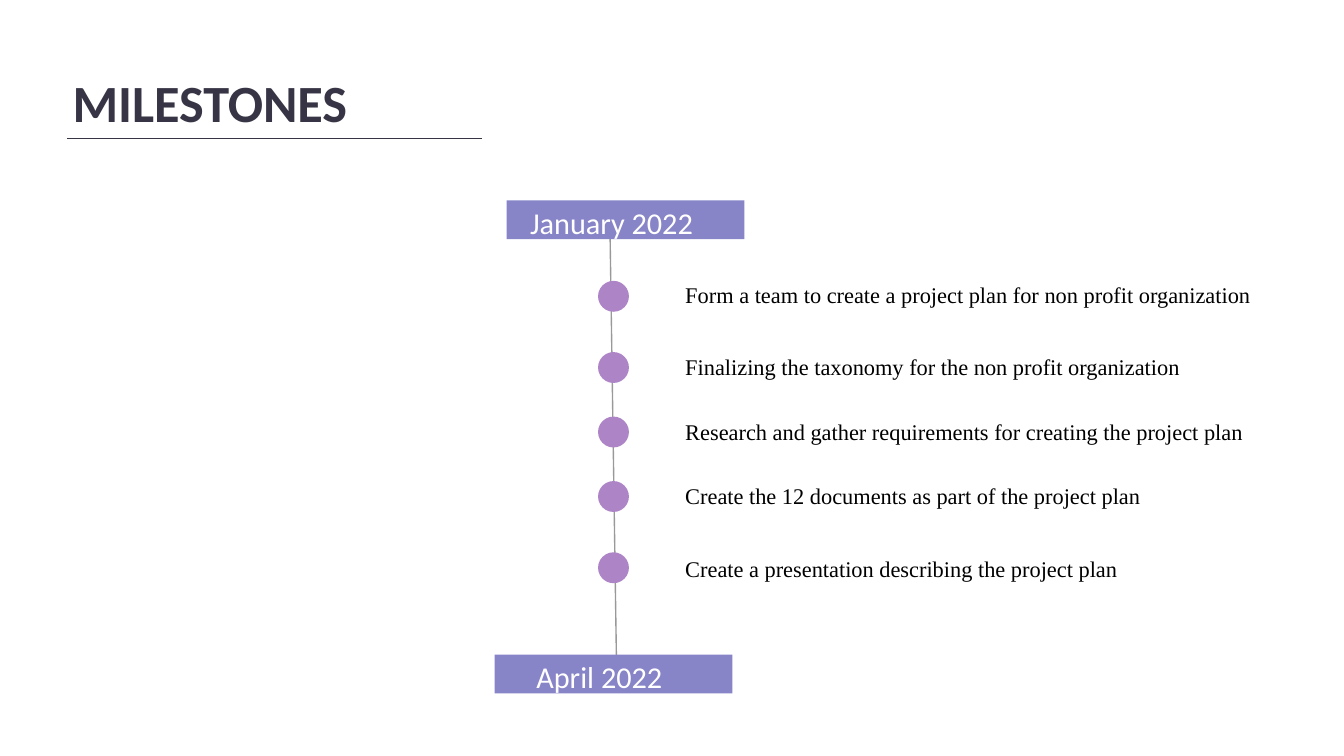
from pptx import Presentation
from pptx.dml.color import RGBColor
from pptx.enum.shapes import MSO_CONNECTOR as CONNECTOR, MSO_SHAPE as SHAPE
from pptx.enum.text import MSO_ANCHOR as ANCHOR, PP_ALIGN as ALIGN
from pptx.oxml.ns import qn
from pptx.util import Inches, Pt
from lxml.etree import SubElement

INK = "373545"
BANNER = "8784C7"
DOT = "AD84C6"
MILESTONES = [
    (2.09, 2.01, "Form a team to create a project plan for non profit organization"),
    (2.62, 2.55, "Finalizing the taxonomy for the non profit organization"),
    (3.10, 3.03, "Research and gather requirements for creating the project plan"),
    (3.58, 3.51, "Create the 12 documents as part of the project plan"),
    (4.11, 4.05, "Create a presentation describing the project plan"),
]


def color(value):
    """Return the colour for a hex string."""
    return RGBColor.from_string(value)


def write(shape, text, font_name, size, text_color, align=ALIGN.LEFT, spacing=1.0, bold=False):
    """Fill a shape with one formatted paragraph and return it."""
    frame = shape.text_frame
    frame.word_wrap = True
    frame.vertical_anchor = ANCHOR.TOP
    paragraph = frame.paragraphs[0]
    paragraph.text = text
    paragraph.alignment = align
    paragraph.line_spacing = spacing
    font = paragraph.font
    font.name, font.size, font.bold = font_name, Pt(size), bold
    font.color.rgb = color(text_color)
    return paragraph


def add_line(slide, start, end, line_color):
    """Draw a thin straight line without a shadow."""
    line = slide.shapes.add_connector(CONNECTOR.STRAIGHT, *map(Inches, start + end))
    line.line.color.rgb = color(line_color)
    line.line.width = Pt(0.75)
    SubElement(line._element.spPr, qn("a:effectLst"))


def add_solid(shapes, kind, left, top, width, height, fill):
    """Add a filled preset shape without outline or shadow."""
    shape = shapes.add_shape(kind, *map(Inches, (left, top, width, height)))
    shape.fill.solid()
    shape.fill.fore_color.rgb = color(fill)
    shape.line.fill.background()
    shape.shadow.inherit = False


def add_heading(slide, left, top, width, height):
    """Place the slide title and the rule beneath it."""
    title = slide.shapes.title
    title.left, title.top, title.width, title.height = map(Inches, (left, top, width, height))
    write(title, "MILESTONES", "Calibri", 28, INK, spacing=0.8, bold=True)
    rule_top = top + height - 0.01
    add_line(slide, (left + 0.06, rule_top), (left + 3.15, rule_top), INK)


def add_date_banner(slide, text, left, top, width, height):
    """Group a coloured bar with its raised date label."""
    group = slide.shapes.add_group_shape()
    add_solid(group.shapes, SHAPE.RECTANGLE, left, top, width, height, BANNER)
    label = group.shapes.add_textbox(*map(Inches, (left, top - 0.07, width - 0.21, 0.57)))
    paragraph = write(label, text, "Calibri", 28, "FFFFFF", ALIGN.CENTER)
    paragraph.runs[0]._r.get_or_add_rPr().set("baseline", "30000")


def add_milestone(slide, text, left, dot_top, label_top, size):
    """Place a timeline dot and its description."""
    add_solid(slide.shapes, SHAPE.OVAL, left, dot_top, size, size, DOT)
    label = slide.shapes.add_textbox(*map(Inches, (left + 0.55, label_top, 4.61, 0.3)))
    write(label, text, "Times New Roman", 12, "000000", spacing=1.15)


def main():
    """Build and save the milestones slide."""
    presentation = Presentation()
    presentation.slide_width = Inches(10)
    presentation.slide_height = Inches(10) * 9 // 16
    slide = presentation.slides.add_slide(presentation.slide_layouts[5])
    add_heading(slide, 0.44, 0.56, 5.94, 0.48)
    add_line(slide, (4.59, 5.12), (4.54, 1.78), "999999")
    add_date_banner(slide, "January 2022", 3.77, 1.49, 1.77, 0.29)
    for dot_top, label_top, text in MILESTONES:
        add_milestone(slide, text, 4.45, dot_top, label_top, 0.23)
    add_date_banner(slide, "April 2022", 3.68, 4.87, 1.77, 0.29)
    presentation.save("out.pptx")


if __name__ == "__main__":
    main()
